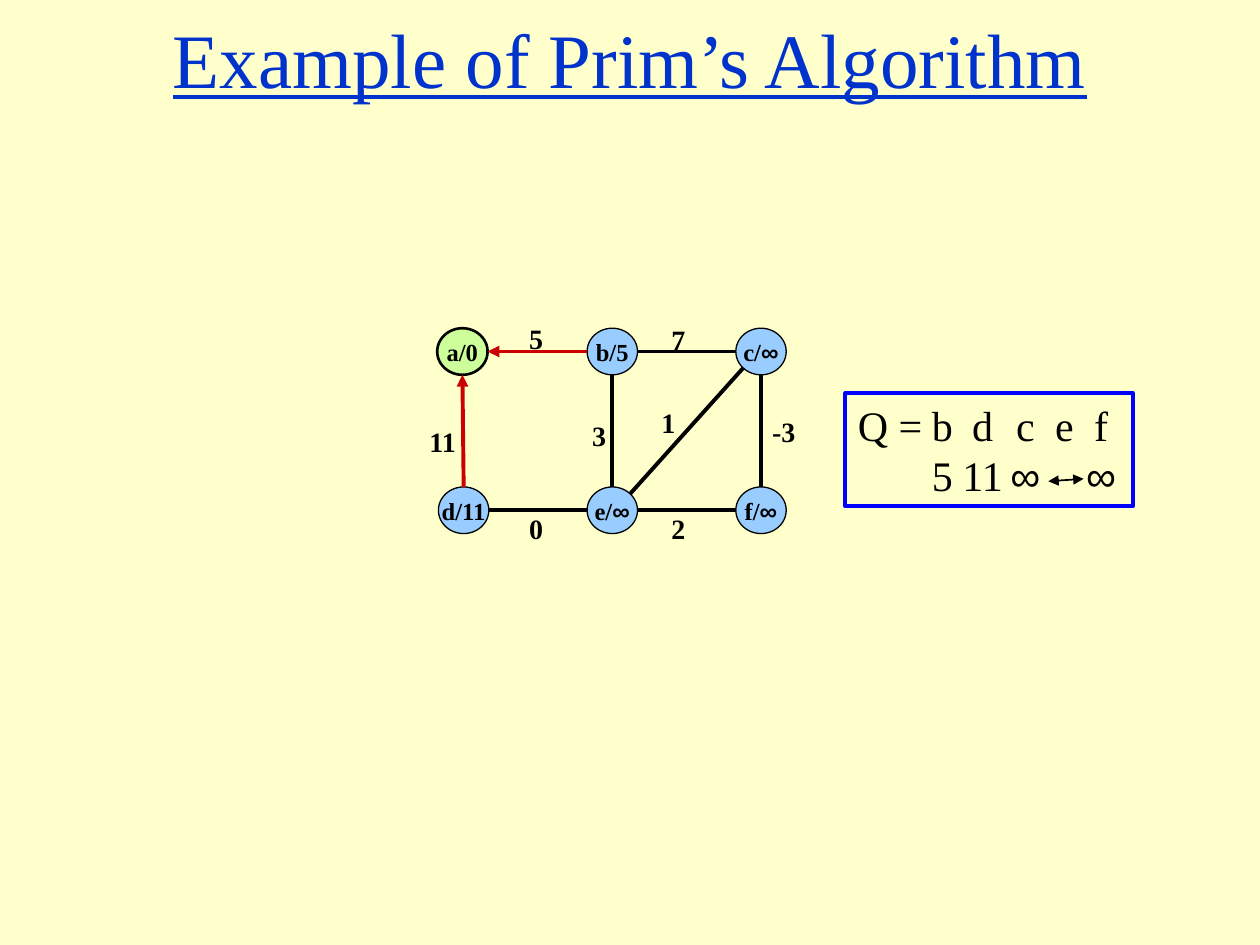
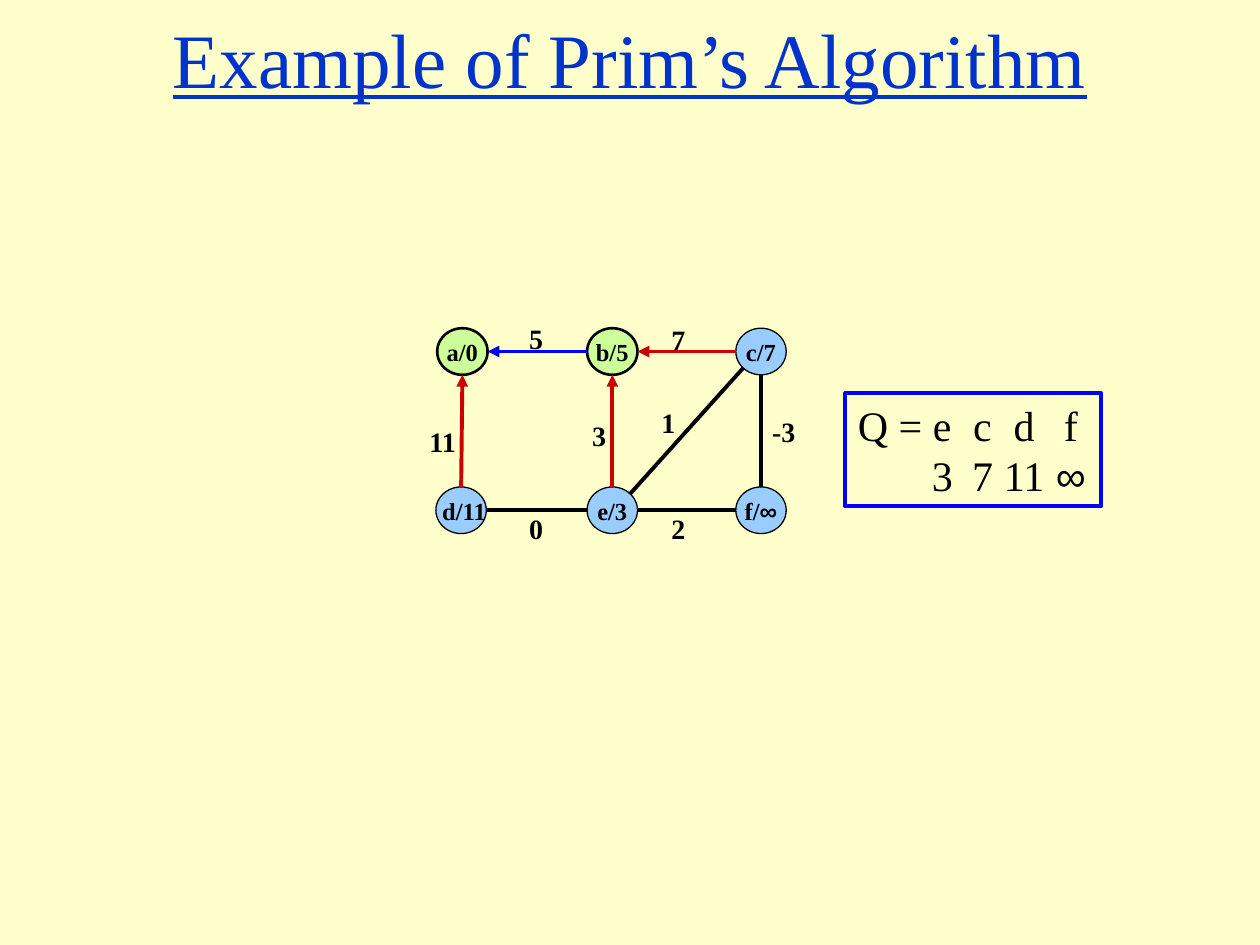
import itertools

import pptx
import pptx.dml.color
import pptx.enum.shapes
import pptx.enum.text
import pptx.oxml
import pptx.oxml.ns
import pptx.util

Inches = pptx.util.Inches
colour = pptx.dml.color.RGBColor.from_string
PP_ALIGN = pptx.enum.text.PP_ALIGN
MIDDLE = pptx.enum.text.MSO_ANCHOR.MIDDLE

PAPER, TITLE_BLUE, BLACK = "FFFFCC", "0033CC", "000000"
WAITING, VISITED = "99CCFF", "CCFF99"
CANDIDATE, CHOSEN = "CC0000", "0000FF"

TITLE_STYLE = {"size": pptx.util.Pt(44), "underline": True}
NODE_STYLE = {"size": pptx.util.Pt(14), "bold": True}
WEIGHT_STYLE = {"size": pptx.util.Pt(16), "bold": True}
QUEUE_STYLE = {"size": pptx.util.Pt(24)}

COLUMNS, ROWS = (3.67, 4.86, 6.04), (2.79, 4.05)
NODE_WIDTH, NODE_HEIGHT = 0.4, 0.37
GRID = {"a": (0, 0), "b": (1, 0), "c": (2, 0),
        "d": (0, 1), "e": (1, 1), "f": (2, 1)}
EDGES = ("ad", "bc", "cf", "be", "ef", "de", "ec", "ab")
# weight, left, top, width
WEIGHTS = [("5", 4.1, 2.5, 0.31), ("11", 3.31, 3.32, 0.42),
           ("0", 4.1, 4.01, 0.31), ("3", 4.6, 3.27, 0.31),
           ("1", 5.15, 3.17, 0.31), ("7", 5.23, 2.51, 0.31),
           ("-3", 6.03, 3.24, 0.42), ("2", 5.23, 4.01, 0.31)]

STEPS = [
    {"labels": {"a": "a/0", "b": "b/5", "c": "c/∞", "d": "d/11", "e": "e/∞", "f": "f/∞"},
     "visited": "a", "d_centre": 3.68,
     "arrows": {"ad": CANDIDATE, "ab": CANDIDATE},
     "queue": ("Q =\tb\td\tc\te\tf", "\t5\t11\t∞\t\t∞"),
     "queue_width": 2.28, "queue_tabs": (0.67, 0.99, 1.33, 1.64, 1.93),
     "same_key": (8.32, 3.82, 8.6, 3.8)},
    {"labels": {"a": "a/0", "b": "b/5", "c": "c/7", "d": " d/11", "e": "e/3", "f": "f/∞"},
     "visited": "ab", "d_centre": 3.66,
     "arrows": {"ad": CANDIDATE, "bc": CANDIDATE, "be": CANDIDATE, "ab": CHOSEN},
     "queue": ("Q =\te\tc\td\tf", "\t3\t7\t11\t∞"),
     "queue_width": 2.03, "queue_tabs": (0.67, 0.99, 1.32, 1.69),
     "same_key": None},
]


def write(paragraph, text, style, ink=BLACK):
    """Add text in Times New Roman, with infinity signs in Arial."""
    for infinite, letters in itertools.groupby(text, lambda letter: letter == "∞"):
        run = paragraph.add_run()
        run.text = "".join(letters)
        run.font.name = "Arial" if infinite else "Times New Roman"
        run.font.color.rgb = colour(ink)
        for attribute, value in style.items():
            setattr(run.font, attribute, value)


def draw_line(slide, ends, ink, width, arrowheads=()):
    line = slide.shapes.add_connector(
        pptx.enum.shapes.MSO_CONNECTOR.STRAIGHT, *map(Inches, ends))
    line.line.color.rgb = colour(ink)
    line.line.width = pptx.util.Pt(width)
    for end in arrowheads:
        arrowhead = pptx.oxml.parse_xml(
            f'<a:{end} {pptx.oxml.ns.nsdecls("a")} type="triangle"/>')
        line.line._get_or_add_ln().append(arrowhead)
    line._element.spPr.append(
        pptx.oxml.parse_xml(f'<a:effectLst {pptx.oxml.ns.nsdecls("a")}/>'))


presentation = pptx.Presentation()
presentation.slide_width, presentation.slide_height = Inches(10), Inches(7.5)
paper = presentation.slide_master.background.fill
paper.solid()
paper.fore_color.rgb = colour(PAPER)

for step in STEPS:
    slide = presentation.slides.add_slide(presentation.slide_layouts[5])
    title = slide.shapes.title
    title.left, title.top = Inches(0.75), Inches(0)
    title.width, title.height = Inches(8.5), Inches(0.92)
    title.text_frame.vertical_anchor = MIDDLE
    heading = title.text_frame.paragraphs[0]
    heading.alignment = PP_ALIGN.CENTER
    write(heading, "Example of Prim’s Algorithm", TITLE_STYLE, TITLE_BLUE)

    centres = {name: (COLUMNS[column], ROWS[row]) for name, (column, row) in GRID.items()}
    centres["d"] = (step["d_centre"], ROWS[1])
    for name, (x, y) in centres.items():
        visited = name in step["visited"]
        node = slide.shapes.add_shape(
            pptx.enum.shapes.MSO_SHAPE.OVAL,
            Inches(x - NODE_WIDTH / 2), Inches(y - NODE_HEIGHT / 2),
            Inches(NODE_WIDTH), Inches(NODE_HEIGHT))
        node.shadow.inherit = False
        node.fill.solid()
        node.fill.fore_color.rgb = colour(VISITED if visited else WAITING)
        node.line.color.rgb = colour(BLACK)
        node.line.width = pptx.util.Pt(1.5 if visited else 0.75)
        node.text_frame.word_wrap = False
        node.text_frame.vertical_anchor = MIDDLE
        label = node.text_frame.paragraphs[0]
        label.alignment = PP_ALIGN.CENTER
        write(label, step["labels"][name], NODE_STYLE)

    for edge in EDGES:
        start, end = edge
        across = GRID[end][0] - GRID[start][0]
        down = GRID[end][1] - GRID[start][1]
        reach = 0.5 / (across ** 2 + down ** 2) ** 0.5
        dx, dy = across * reach * NODE_WIDTH, down * reach * NODE_HEIGHT
        (x1, y1), (x2, y2) = centres[start], centres[end]
        arrowheads = ["headEnd"] if edge in step["arrows"] else []
        draw_line(slide, (x1 + dx, y1 + dy, x2 - dx, y2 - dy),
                  step["arrows"].get(edge, BLACK), 2.25, arrowheads)

    for weight, left, top, width in WEIGHTS:
        caption = slide.shapes.add_textbox(
            Inches(left), Inches(top), Inches(width), Inches(0.37))
        caption.text_frame.word_wrap = False
        write(caption.text_frame.paragraphs[0], weight, WEIGHT_STYLE)

    queue = slide.shapes.add_shape(
        pptx.enum.shapes.MSO_SHAPE.RECTANGLE,
        Inches(6.71), Inches(3.12), Inches(step["queue_width"]), Inches(0.9))
    queue.shadow.inherit = False
    queue.fill.background()
    queue.line.color.rgb = colour(CHOSEN)
    queue.line.width = pptx.util.Pt(2.25)
    queue.text_frame.word_wrap = True
    queue.text_frame.vertical_anchor = pptx.enum.text.MSO_ANCHOR.TOP
    queue.text_frame.add_paragraph()
    tabs = "".join(f'<a:tab pos="{Inches(stop)}" algn="ctr"/>' for stop in step["queue_tabs"])
    for paragraph, text in zip(queue.text_frame.paragraphs, step["queue"]):
        paragraph.alignment = PP_ALIGN.LEFT
        paragraph._p.get_or_add_pPr().append(pptx.oxml.parse_xml(
            f'<a:tabLst {pptx.oxml.ns.nsdecls("a")}>{tabs}</a:tabLst>'))
        write(paragraph, text, QUEUE_STYLE)

    if step["same_key"]:
        draw_line(slide, step["same_key"], BLACK, 1, ["headEnd", "tailEnd"])

presentation.save("out.pptx")
